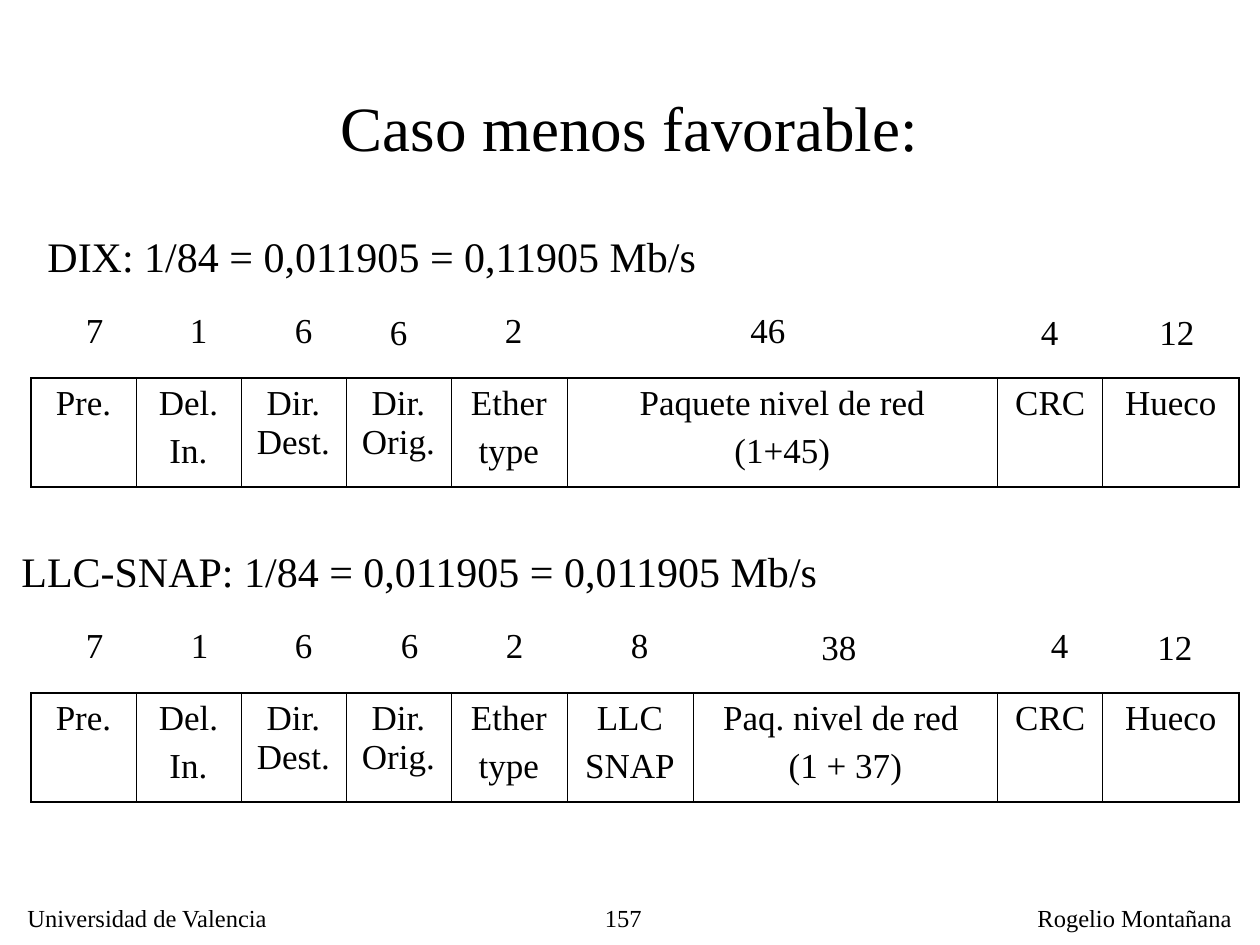
from lxml.etree import SubElement
from pptx import Presentation
from pptx.dml.color import RGBColor
from pptx.enum.text import MSO_ANCHOR as Anchor, MSO_AUTO_SIZE as AutoSize, PP_ALIGN as Align
from pptx.oxml.ns import qn
from pptx.util import Emu, Pt

BLACK = RGBColor(0x00, 0x00, 0x00)
FONT = "Times New Roman"
OUTER, INNER = 1.08, 0.45
FRAME_STEP = 315


def px(length):
    """Turn slide pixels (126 to the inch) into EMU."""
    return Emu(round(length * 914400 / 126))


def write(frame, text, size=20, align=Align.LEFT, gap=0):
    """Fill a text frame, one paragraph a line, with gap points between them."""
    for index, line in enumerate(text.split("\n")):
        paragraph = frame.paragraphs[0] if index == 0 else frame.add_paragraph()
        paragraph.text = line
        paragraph.alignment = align
        if index:
            paragraph.space_before = Pt(gap)
        font = paragraph.runs[0].font
        font.name, font.size, font.color.rgb = FONT, Pt(size), BLACK


class SlideBuilder:
    def __init__(self, slide):
        self.slide = slide

    def title(self, text, left, top, width, height):
        holder = self.slide.shapes.title
        holder.left, holder.top = px(left), px(top)
        holder.width, holder.height = px(width), px(height)
        holder.text_frame.auto_size = AutoSize.NONE
        holder.text_frame.vertical_anchor = Anchor.MIDDLE
        write(holder.text_frame, text, size=36, align=Align.CENTER)

    def label(self, text, left, top, width, height, wrap=False, **style):
        box = self.slide.shapes.add_textbox(px(left), px(top), px(width), px(height))
        box.text_frame.word_wrap = wrap
        box.text_frame.auto_size = AutoSize.NONE if wrap else AutoSize.SHAPE_TO_FIT_TEXT
        write(box.text_frame, text, **style)

    def byte_count(self, count, center, top):
        width = 43 if count < 10 else 60
        self.label(str(count), center - width / 2, top, width, 55)

    def borders(self, cell, **widths):
        properties = cell._tc.get_or_add_tcPr()
        for side in "LRTB":
            line = SubElement(properties, qn(f"a:ln{side}"), w=str(Pt(widths[side])))
            fill = SubElement(line, qn("a:solidFill"))
            SubElement(fill, qn("a:srgbClr"), val=str(BLACK))
        cell.fill.background()

    def frame_table(self, fields, left, top, height):
        """Draw one Ethernet frame as a row of (name, width) fields."""
        total = sum(width for _, width in fields)
        table = self.slide.shapes.add_table(
            1, len(fields), px(left), px(top), px(total), px(height)).table
        table.first_row = table.horz_banding = False
        last = len(fields) - 1
        for column, (name, width) in enumerate(fields):
            table.columns[column].width = px(width)
            cell = table.cell(0, column)
            cell.margin_left = cell.margin_right = Pt(7.2)
            cell.margin_top = cell.margin_bottom = Pt(3.6)
            write(cell.text_frame, name, align=Align.CENTER, gap=5)
            self.borders(cell, L=INNER if column else OUTER,
                         R=OUTER if column == last else INNER, T=OUTER, B=OUTER)


HEADER = [("Pre.", 105), ("Del.\nIn.", 105), ("Dir. Dest.", 105),
          ("Dir. Orig.", 105), ("Ether\ntype", 116)]
TRAILER = [("CRC", 105), ("Hueco", 136)]

# Heading, its left and width, payload fields, and (bytes, centre, drop) counts
FRAMES = [
    ("DIX: 1/84 = 0,011905 = 0,11905 Mb/s", 35, 677,
     [("Paquete nivel de red\n(1+45)", 431)],
     [(7, 95, 0), (1, 199, 0), (6, 304, 0), (6, 399, 2), (2, 514, 0),
      (46, 768, 0), (4, 1050, 2), (12, 1177, 2)]),
    ("LLC-SNAP: 1/84 = 0,011905 = 0,011905 Mb/s", 9, 824,
     [("LLC\nSNAP", 126), ("Paq. nivel de red \n(1 + 37)", 305)],
     [(7, 95, 0), (1, 200, 0), (6, 304, 0), (6, 410, 0), (2, 515, 0),
      (8, 640, 0), (38, 839, 2), (4, 1060, 0), (12, 1175, 2)]),
]


def main():
    deck = Presentation()
    deck.slide_width, deck.slide_height = px(1260), px(945)
    builder = SlideBuilder(deck.slides.add_slide(deck.slide_layouts[5]))

    builder.label("157", 520, 897, 134, 39, wrap=True, size=14, align=Align.RIGHT)
    builder.label("Universidad de Valencia", 15, 897, 268, 43, size=14)
    builder.label("Rogelio Montañana", 1025, 897, 232, 43, wrap=True, size=14)
    builder.title("Caso menos favorable:", 52, 63, 1155, 126)

    for index, (heading, left, width, payload, counts) in enumerate(FRAMES):
        shift = index * FRAME_STEP
        builder.label(heading, left, 224 + shift, width, 63, size=24)
        for count, center, drop in counts:
            builder.byte_count(count, center, 302 + drop + shift)
        builder.frame_table(HEADER + payload + TRAILER, 31, 378 + shift, 109)

    deck.save("out.pptx")


if __name__ == "__main__":
    main()
